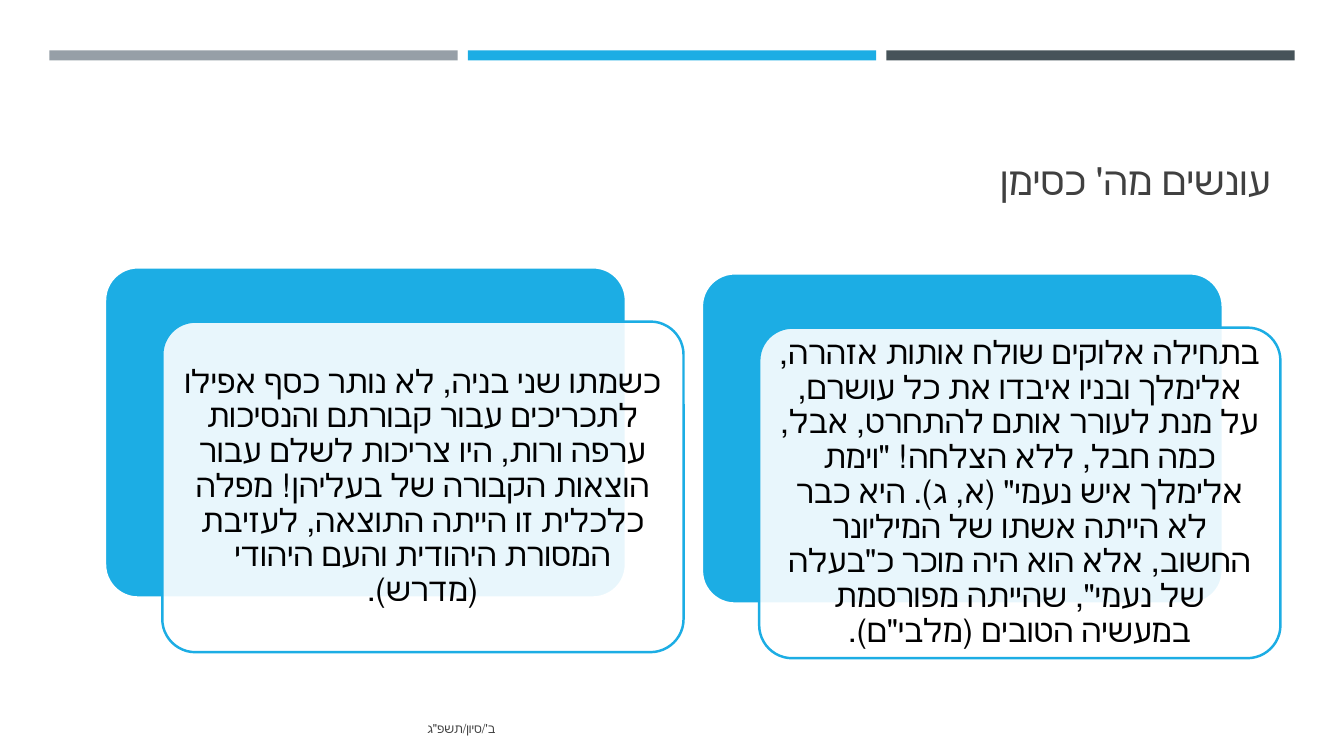
from lxml.etree import SubElement as Sub
from pptx import Presentation
from pptx.dml.color import RGBColor as RGB
from pptx.enum.lang import MSO_LANGUAGE_ID as Lang
from pptx.enum.shapes import MSO_SHAPE as Kind
from pptx.enum.text import MSO_ANCHOR as Anchor, PP_ALIGN as Align
from pptx.oxml.ns import qn
from pptx.util import Inches, Pt

BLUE = RGB(0x1C, 0xAD, 0xE4)
SLATE = RGB(0x46, 0x53, 0x59)
GRAY = RGB(0x96, 0x9F, 0xA7)
INK = RGB(0x40, 0x40, 0x40)
BLACK = RGB(0, 0, 0)
WHITE = RGB(0xFF, 0xFF, 0xFF)

TITLE = {"name": "Cabin", "size": Pt(28), "color": INK}
DATE = {"name": "Cabin", "size": Pt(9), "color": INK}
BODY = {"name": "Lato", "size": Pt(23), "color": BLACK}

CARDS = [
    (6.96, 2.71, "בתחילה אלוקים שולח אותות אזהרה, אלימלך ובניו איבדו את כל עושרם, על מנת לעורר אותם להתחרט, אבל, כמה חבל, ללא הצלחה! \"וימת אלימלך איש נעמי\" (א, ג). היא כבר לא הייתה אשתו של המיליונר החשוב, אלא הוא היה מוכר כ\"בעלה של נעמי\", שהייתה מפורסמת במעשיה הטובים (מלבי\"ם)."),
    (1.04, 2.65, "כשמתו שני בניה, לא נותר כסף אפילו לתכריכים עבור קבורתם והנסיכות ערפה ורות, היו צריכות לשלם עבור הוצאות הקבורה של בעליהן! מפלה כלכלית זו הייתה התוצאה, לעזיבת המסורת היהודית והעם היהודי (מדרש)."),
]


def write(shape, text, style, align, anchor):
    frame = shape.text_frame
    frame.word_wrap = True
    frame.vertical_anchor = anchor
    para = frame.paragraphs[0]
    para.alignment = align
    para._p.get_or_add_pPr().set("rtl", "1")
    run = para.add_run()
    run.text = text
    run.font.language_id = Lang.HEBREW
    for key, value in style.items():
        if key == "color":
            run.font.color.rgb = value
        else:
            setattr(run.font, key, value)
    return frame, para


def block(slide, kind, box, fill, line=None, width=0):
    shape = slide.shapes.add_shape(kind, *map(Inches, box))
    shape.shadow.inherit = False
    shape.fill.solid()
    shape.fill.fore_color.rgb = fill
    if line is None:
        shape.line.fill.background()
    else:
        shape.line.color.rgb = line
        shape.line.width = Pt(width)
        shape.adjustments[0] = 0.1
    return shape


def label(slide, box, text, style, anchor):
    shape = slide.shapes.add_textbox(*map(Inches, box))
    write(shape, text, style, Align.RIGHT, anchor)


def bars(slide, left, top, width, height):
    gap = 0.1
    each = (width - 2 * gap) / 3
    for i, color in enumerate((GRAY, BLUE, SLATE)):
        block(slide, Kind.RECTANGLE,
              (left + i * (each + gap), top, each, height), color)


def card(slide, left, top, width, height, text):
    shift_x, shift_y = 0.57, 0.54
    block(slide, Kind.ROUNDED_RECTANGLE, (left, top, width, height),
          BLUE, WHITE, 2)
    front = block(slide, Kind.ROUNDED_RECTANGLE,
                  (left + shift_x, top + shift_y, width, height),
                  WHITE, BLUE, 1.75)
    color = front.fill._xPr.find(qn("a:solidFill"))[0]
    Sub(color, qn("a:alpha"), val="90000")
    frame, para = write(front, text, BODY, Align.CENTER, Anchor.MIDDLE)
    for side in ("left", "right", "top", "bottom"):
        setattr(frame, "margin_" + side, Inches(0.1))
    para.line_spacing = 0.9


def main():
    deck = Presentation()
    deck.slide_width, deck.slide_height = Inches(13.33), Inches(7.5)
    slide = deck.slides.add_slide(deck.slide_layouts[6])
    bars(slide, 0.49, 0.5, 12.35, 0.1)
    label(slide, (0.64, 0.77, 12.06, 1.3), "עונשים מה' כסימן",
          TITLE, Anchor.BOTTOM)
    label(slide, (1.9, 7.03, 3.11, 0.4), "ב'/סיון/תשפ\"ג",
          DATE, Anchor.MIDDLE)
    for left, top, text in CARDS:
        card(slide, left, top, 5.17, 3.28, text)
    deck.save("out.pptx")


if __name__ == "__main__":
    main()
